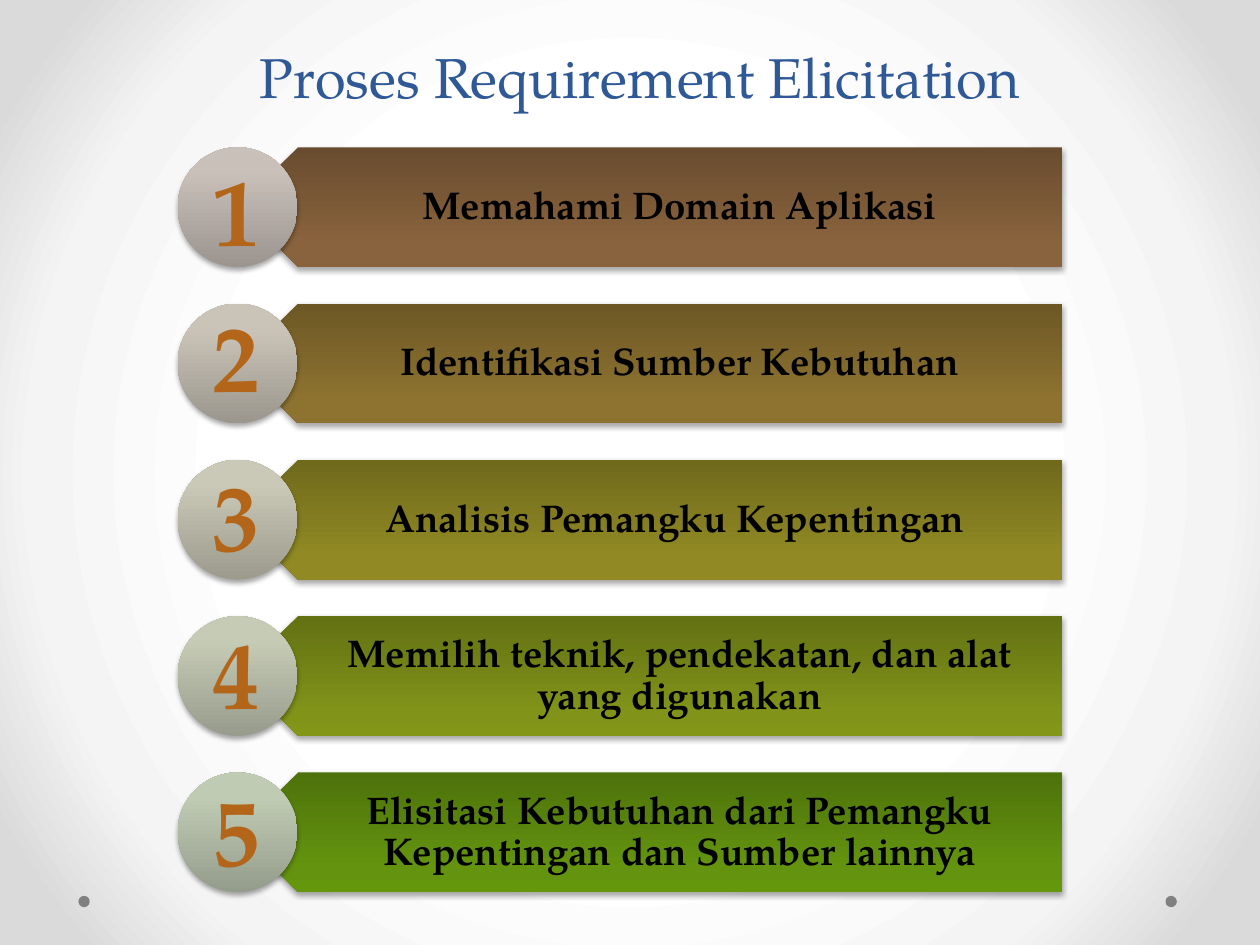
"""Build a slide listing the five steps of requirement elicitation."""
from lxml import etree
from pptx import Presentation
from pptx.dml.color import RGBColor
from pptx.enum.shapes import MSO_SHAPE
from pptx.enum.text import MSO_ANCHOR, MSO_AUTO_SIZE, PP_ALIGN
from pptx.oxml.ns import qn
from pptx.util import Pt

OVAL, PLATE = MSO_SHAPE.OVAL, MSO_SHAPE.PENTAGON
CENTER, MIDDLE, BOTTOM = PP_ALIGN.CENTER, MSO_ANCHOR.MIDDLE, MSO_ANCHOR.BOTTOM
TOP, NO_FIT = MSO_ANCHOR.TOP, MSO_AUTO_SIZE.NONE
FONT = "TeX Gyre Pagella"
BLUE = RGBColor(0x2F, 0x58, 0x97)
BLACK = RGBColor(0, 0, 0)
ORANGE = RGBColor(0xB3, 0x66, 0x19)
GRAY = RGBColor(0x80, 0x80, 0x80)
STEPS = [
    ("Memahami Domain Aplikasi", 83.5,
     ("694C2F", "89633D", "8B633C"), ("9B948F", "C9C0B9", "CAC1BA")),
    ("Identifikasi Sumber Kebutuhan", 167,
     ("6D5825", "8D7230", "8F742E"), ("9B978E", "CAC4B8", "CBC5B9")),
    ("Analisis Pemangku Kepentingan ", 257.8,
     ("6F691C", "908924", "938B22"), ("9C9B8D", "CAC9B7", "CCCBB7")),
    ("Memilih teknik, pendekatan, dan alat yang digunakan", 347.8,
     ("637113", "819319", "839617"), ("989C8C", "C6CBB6", "C7CCB6")),
    ("Elisitasi Kebutuhan dari Pemangku Kepentingan dan Sumber lainnya", 437.8,
     ("4D720B", "64940F", "65970C"), ("949D8B", "C0CBB4", "C1CDB5")),
]


def shade(root, spots, tints):
    grad = root.find(".//" + qn("a:gradFill"))
    stops = grad.find(qn("a:gsLst"))
    for stop in list(stops):
        stops.remove(stop)
    for spot, tint in zip(spots, tints):
        stop = etree.SubElement(stops, qn("a:gs"), pos=str(spot * 1000))
        etree.SubElement(stop, qn("a:srgbClr"), val=tint)
    return grad


def write(shape, text, size, color, bold, anchor, wrap, space):
    frame = shape.text_frame
    frame.text = text
    for key, val in {"auto_size": NO_FIT, "word_wrap": wrap,
                     "vertical_anchor": anchor}.items():
        setattr(frame, key, val)
    para = frame.paragraphs[0]
    para.alignment, para.line_spacing = CENTER, space
    font = para.runs[0].font
    for key, val in {"name": FONT, "size": Pt(size), "bold": bold}.items():
        setattr(font, key, val)
    font.color.rgb = color
    return frame


deck = Presentation()
deck.slide_width, deck.slide_height = Pt(720), Pt(540)
slide = deck.slides.add_slide(deck.slide_layouts[5])
shapes = slide.shapes

slide.background.fill.gradient()
grad = shade(slide.element, (50, 76, 92), ("FFFFFF", "F4F4F4", "DADADA"))
grad.remove(grad.find(qn("a:lin")))
ring = etree.SubElement(grad, qn("a:path"), path="circle")
etree.SubElement(ring, qn("a:fillToRect"), l="50000", t="50000", r="50000", b="50000")

title = shapes.title
for key, val in {"left": 23.8, "top": 12.2, "width": 684, "height": 54}.items():
    setattr(title, key, Pt(val))
write(title, "Proses Requirement Elicitation", 32, BLUE, False, BOTTOM, True, Pt(58))

for left in (666, 44.8):
    dot = shapes.add_shape(OVAL, Pt(left), Pt(511.9), Pt(6.5), Pt(6.5))
    dot.fill.solid()
    dot.fill.fore_color.rgb = GRAY
    dot.line.fill.background()
    dot.shadow.inherit = False

for row, (text, _, dark, pale) in enumerate(STEPS):
    top = Pt(84.2 + 89.3 * row)
    for kind, left, width, turn, tints in (
            (PLATE, 136.1, 470.9, 180, dark), (OVAL, 101.5, 68.4, 0, pale)):
        shape = shapes.add_shape(kind, Pt(left), top, Pt(width), Pt(68.4))
        shape.rotation = turn
        shape.fill.gradient()
        shape.fill.gradient_angle = 90
        shape.line.fill.background()
        shape.shadow.inherit = False
        props = shape.element.spPr
        shade(props, (0, 80, 100), tints)
        glow = etree.SubElement(
            props.find(qn("a:effectLst")), qn("a:outerShdw"), blurRad=str(Pt(3.1)),
            dist=str(Pt(1.8)), dir="5400000", rotWithShape="0")
        ink = etree.SubElement(glow, qn("a:srgbClr"), val="000000")
        etree.SubElement(ink, qn("a:alpha"), val="35000")
        if kind == PLATE:
            label = shapes.add_textbox(Pt(152.6), top, Pt(453.6), Pt(68.4))
            frame = write(label, text, 22, BLACK, True, MIDDLE, True, 0.9)
            for side, gap in {"left": 30.2, "top": 6.5, "right": 12.2,
                              "bottom": 6.5}.items():
                setattr(frame, "margin_" + side, Pt(gap))

for row, step in enumerate(STEPS, 1):
    digit = shapes.add_textbox(Pt(114), Pt(step[1]), Pt(41.8), Pt(72.7))
    write(digit, str(row), 54, ORANGE, True, TOP, False, 1.0)

deck.save("out.pptx")
